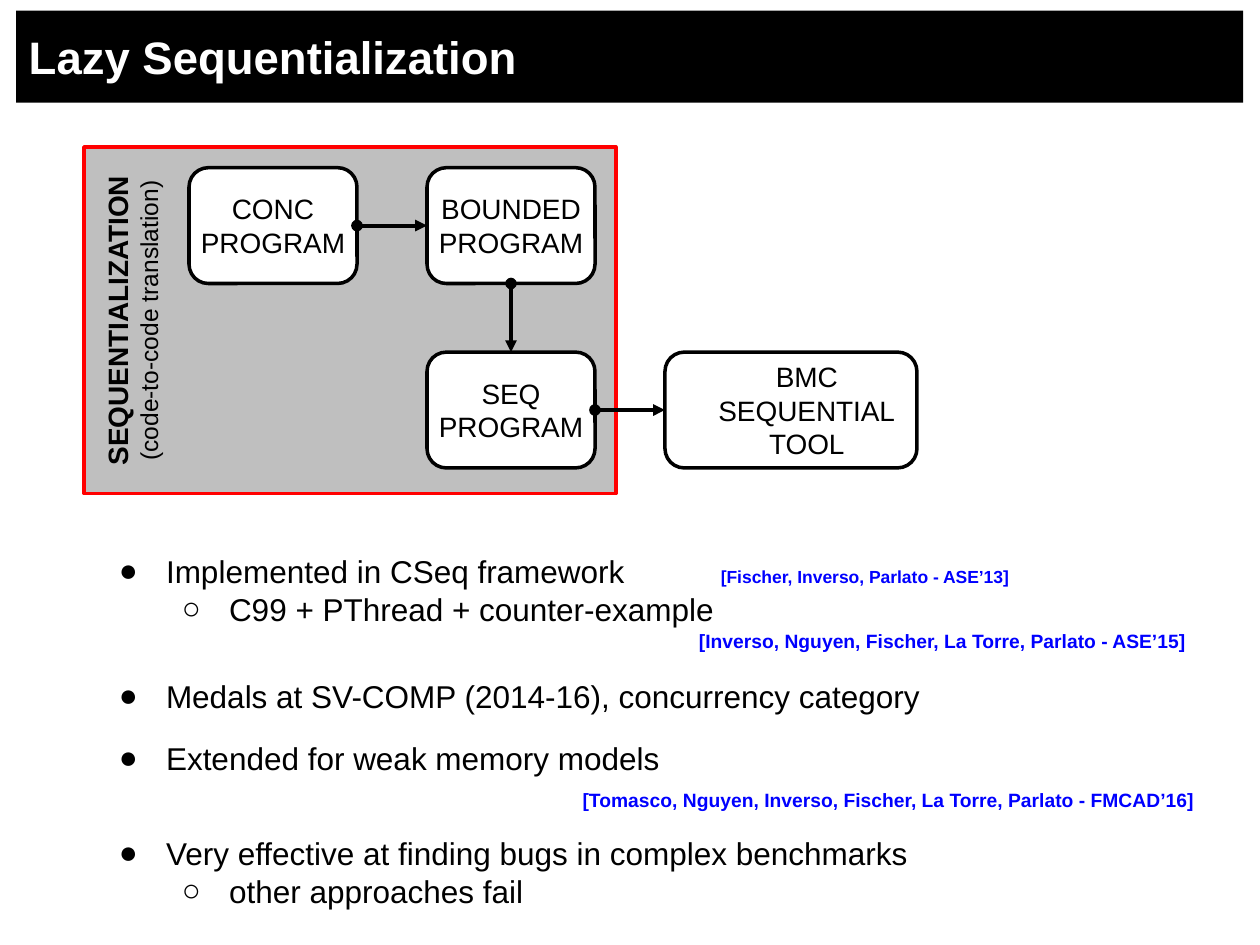
import pptx
import pptx.dml.color
import pptx.enum.shapes
import pptx.enum.text
import pptx.oxml.ns
import pptx.util
from lxml import etree

Pt = pptx.util.Pt
RGBColor = pptx.dml.color.RGBColor
SHAPE = pptx.enum.shapes.MSO_SHAPE
ALIGN = pptx.enum.text.PP_ALIGN
ANCHOR = pptx.enum.text.MSO_ANCHOR
qn = pptx.oxml.ns.qn

BLACK = RGBColor(0x00, 0x00, 0x00)
WHITE = RGBColor(0xFF, 0xFF, 0xFF)
GREY = RGBColor(0xBF, 0xBF, 0xBF)
RED = RGBColor(0xFF, 0x00, 0x00)
BLUE = RGBColor(0x00, 0x00, 0xFF)
FONT = "Arial"

# Content
TITLE = "Lazy Sequentialization"
PANEL_LABEL = [("SEQUENTIALIZATION", 16, True), ("(code-to-code translation)", 14, False)]
TOP_ROW, LOWER_ROW = 95.8, 201.2
NODE_HEIGHT = 66.2
# name: (left, top, width, left inset, right inset, lines)
NODES = {
    "conc": (108, TOP_ROW, 96, 0, 0, ["CONC", "PROGRAM"]),
    "bounded": (244, TOP_ROW, 96, 0, 0, ["BOUNDED", "PROGRAM"]),
    "seq": (244, LOWER_ROW, 96, 0, 0, ["SEQ", "PROGRAM"]),
    "bmc": (380, LOWER_ROW, 144, 25.2, 7.2, ["BMC SEQUENTIAL", "TOOL"]),
}
BOTTOM, RIGHT, LEFT, TOP = 2, 3, 1, 0
LINKS = [("conc", RIGHT, "bounded", LEFT),
         ("bounded", BOTTOM, "seq", TOP),
         ("seq", RIGHT, "bmc", LEFT)]
# kind: (left margin, first-line indent, bullet)
KINDS = {"point": (72, -27, "●"), "sub": (108, -27, "○"),
         "cite15": (376.5, 0, None), "cite16": (310, 0, None)}
CITATION_TAB = 389
# (kind, space before, runs of (text, size, bold, colour))
BODY = [
    ("point", 0, [("Implemented in CSeq framework\t", 18, False, BLACK),
                  ("[Fischer, Inverso, Parlato - ASE’13]", 10, True, BLUE)]),
    ("sub", 0, [("C99 + PThread + counter-example", 18, False, BLACK)]),
    ("cite15", 1, [("[Inverso, Nguyen, Fischer, La Torre, Parlato - ASE’15]", 11, True, BLUE)]),
    ("point", 14, [("Medals at SV-COMP (2014-16), concurrency category", 18, False, BLACK)]),
    ("point", 14, [("Extended for weak memory models", 18, False, BLACK)]),
    ("cite16", 6.3, [("[Tomasco, Nguyen, Inverso, Fischer, La Torre, Parlato - FMCAD’16]",
                      11, True, BLUE)]),
    ("point", 13, [("Very effective at finding bugs in complex benchmarks", 18, False, BLACK)]),
    ("sub", 0, [("other approaches fail", 18, False, BLACK)]),
]


def add_span(para, text, size, bold=False, color=BLACK):
    span = para.add_run()
    span.text = text
    span.font.name = FONT
    span.font.size = Pt(size)
    span.font.bold = bold
    span.font.color.rgb = color


def next_para(frame, index):
    return frame.add_paragraph() if index else frame.paragraphs[0]


def set_frame(frame, anchor, left=7.2, right=7.2):
    frame.word_wrap = True
    frame.vertical_anchor = anchor
    frame.margin_left, frame.margin_right = Pt(left), Pt(right)
    frame.margin_top = frame.margin_bottom = Pt(3.6)


def add_box(page, kind, left, top, width, height, fill, line):
    box = page.shapes.add_shape(kind, Pt(left), Pt(top), Pt(width), Pt(height))
    box.shadow.inherit = False
    box.fill.solid()
    box.fill.fore_color.rgb = fill
    box.line.color.rgb = line
    box.line.width = Pt(2)
    return box


def add_arrow(page, start, start_side, end, end_side):
    arrow = page.shapes.add_connector(
        pptx.enum.shapes.MSO_CONNECTOR.STRAIGHT, 0, 0, 0, 0)
    arrow.begin_connect(start, start_side)
    arrow.end_connect(end, end_side)
    arrow.line.color.rgb = BLACK
    arrow.line.width = Pt(2.25)
    line = arrow.line._get_or_add_ln()
    for tag, style in (("a:headEnd", "oval"), ("a:tailEnd", "triangle")):
        etree.SubElement(line, qn(tag), type=style)
    etree.SubElement(arrow._element.spPr, qn("a:effectLst"))


def set_layout(para, kind):
    margin, indent, bullet = KINDS[kind]
    props = para._p.get_or_add_pPr()
    props.set("marL", str(Pt(margin)))
    props.set("indent", str(Pt(indent)))
    if bullet:
        color = etree.SubElement(props, qn("a:buClr"))
        etree.SubElement(color, qn("a:srgbClr"), val=str(BLACK))
        etree.SubElement(props, qn("a:buFont"), typeface=FONT)
        etree.SubElement(props, qn("a:buChar"), char=bullet)
    else:
        etree.SubElement(props, qn("a:buNone"))
    if kind == "point":
        tabs = etree.SubElement(props, qn("a:tabLst"))
        etree.SubElement(tabs, qn("a:tab"), pos=str(Pt(CITATION_TAB)), algn="l")


def main():
    deck = pptx.Presentation()
    deck.slide_width, deck.slide_height = Pt(720), Pt(540)
    page = deck.slides.add_slide(deck.slide_layouts[5])

    # Title bar
    title = page.shapes.title
    title.left, title.top, title.width, title.height = Pt(9.2), Pt(6), Pt(701.2), Pt(52.6)
    title.fill.solid()
    title.fill.fore_color.rgb = BLACK
    set_frame(title.text_frame, ANCHOR.MIDDLE)
    title.text_frame.paragraphs[0].alignment = ALIGN.LEFT
    add_span(title.text_frame.paragraphs[0], TITLE, 26, True, WHITE)

    # Sequentialization panel and its upright label
    add_box(page, SHAPE.RECTANGLE, 48, 84, 304, 198, GREY, RED)
    label = page.shapes.add_textbox(Pt(-17.3), Pt(161.3), Pt(185.8), Pt(43.9))
    label.rotation = 270
    set_frame(label.text_frame, ANCHOR.TOP)
    for index, (text, size, bold) in enumerate(PANEL_LABEL):
        para = next_para(label.text_frame, index)
        para.alignment = ALIGN.CENTER
        add_span(para, text, size, bold)

    # Flow chart
    boxes = {}
    for name, (left, top, width, inset_left, inset_right, lines) in NODES.items():
        box = add_box(page, SHAPE.ROUNDED_RECTANGLE, left, top, width, NODE_HEIGHT, WHITE, BLACK)
        set_frame(box.text_frame, ANCHOR.MIDDLE, inset_left, inset_right)
        for index, text in enumerate(lines):
            para = next_para(box.text_frame, index)
            para.alignment = ALIGN.CENTER
            add_span(para, text, 16)
        boxes[name] = box
    for start, start_side, end, end_side in LINKS:
        add_arrow(page, boxes[start], start_side, boxes[end], end_side)

    # Bullets and citations
    body = page.shapes.add_textbox(Pt(15.8), Pt(311.8), Pt(689.8), Pt(213))
    set_frame(body.text_frame, ANCHOR.TOP)
    for index, (kind, gap, spans) in enumerate(BODY):
        para = next_para(body.text_frame, index)
        set_layout(para, kind)
        if gap:
            para.space_before = Pt(gap)
        for span in spans:
            add_span(para, *span)

    deck.save("out.pptx")


if __name__ == "__main__":
    main()
